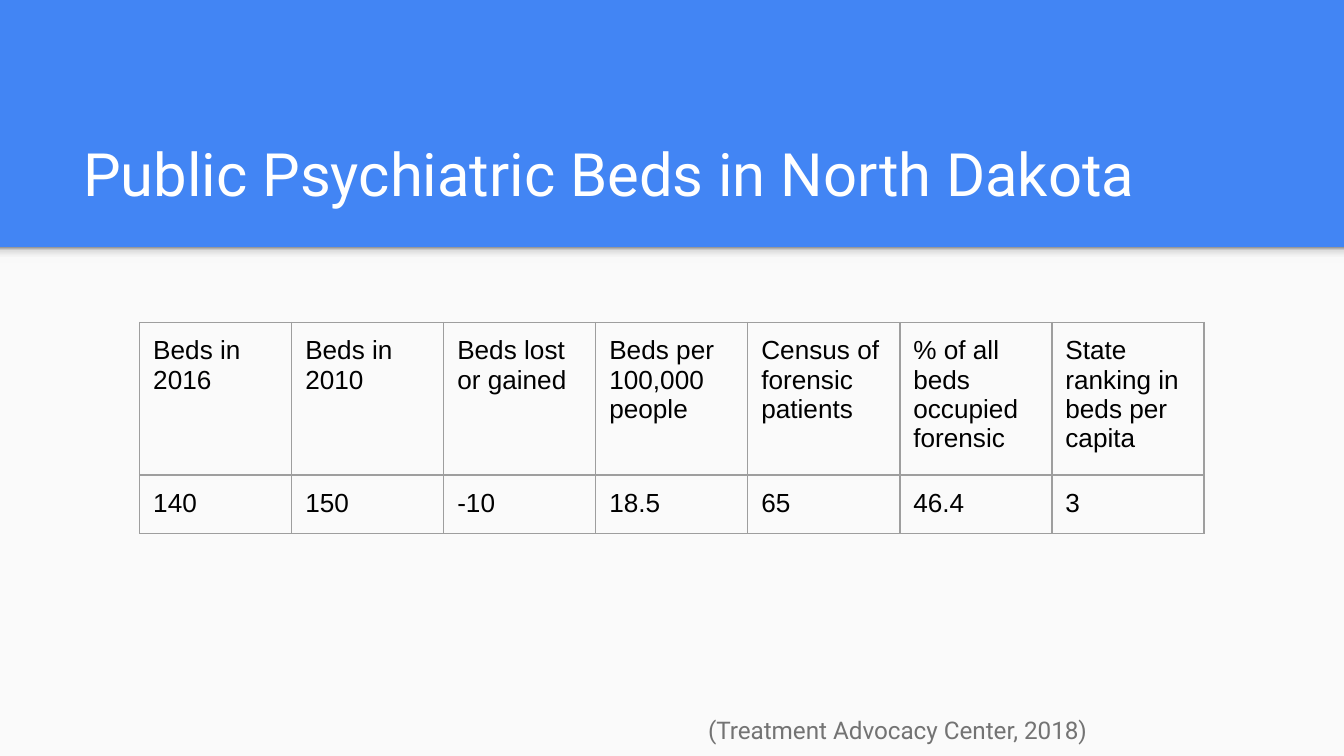
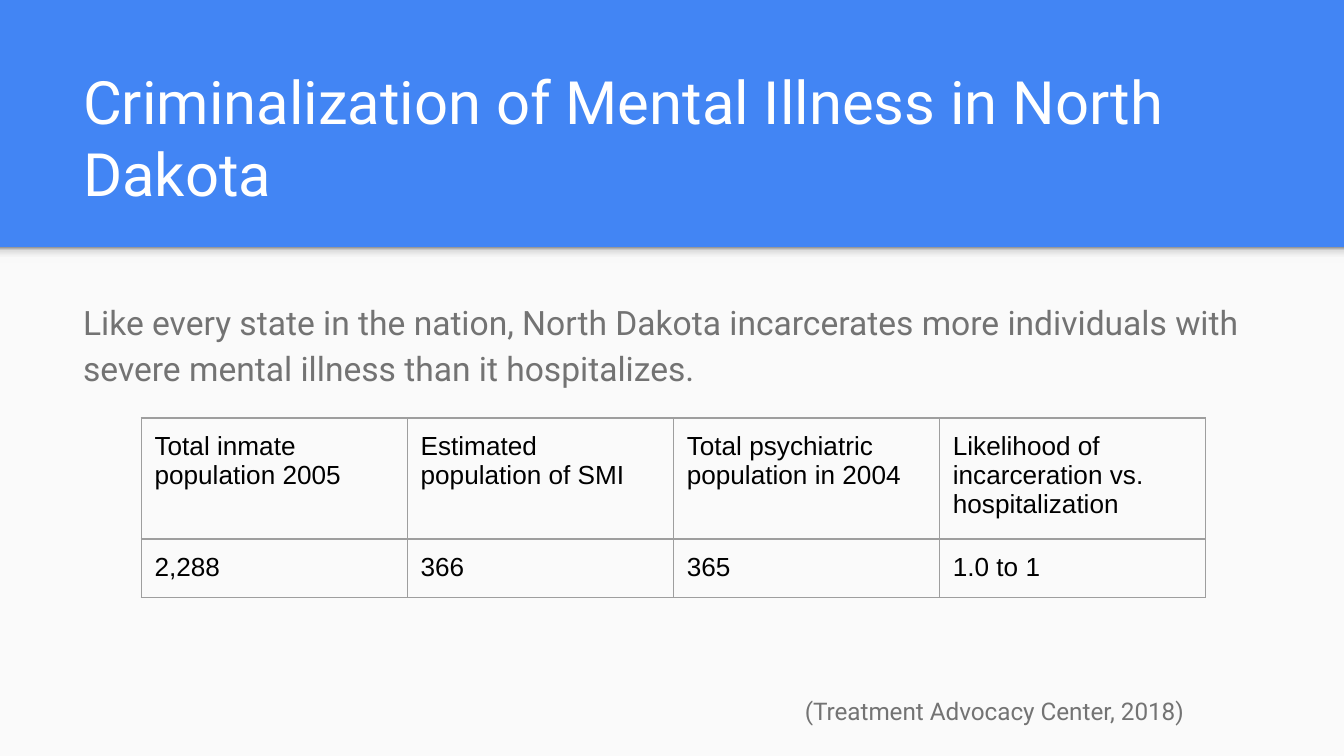
import dataclasses

import lxml.etree
import pptx
import pptx.dml.color
import pptx.enum.shapes
import pptx.enum.text
import pptx.oxml.ns
import pptx.util

Inches, Pt = pptx.util.Inches, pptx.util.Pt
RGB = pptx.dml.color.RGBColor.from_string
ANCHOR = pptx.enum.text.MSO_ANCHOR
RECT = pptx.enum.shapes.MSO_SHAPE.RECTANGLE
qn = pptx.oxml.ns.qn


@dataclasses.dataclass(frozen=True)
class Theme:
    band: str = "4285F4"
    panel: str = "FAFAFA"
    title: str = "FFFFFF"
    body: str = "737373"
    cell: str = "000000"
    border: str = "9E9E9E"
    shade: tuple = ((0, "F9F9F9"), (36, "F9F9F9"), (80, "DEDEDE"), (100, "999999"))
    font: str = "Roboto"
    table_font: str = "Arial"
    title_size: int = 32
    body_size: int = 18
    cell_size: int = 14
    source_size: int = 13


theme = Theme()
WIDTH = 10
HEIGHT = WIDTH * 9 / 16
BAND_BOTTOM = 1.84
TABLE_WIDTH, ROW_HEIGHT = 7.92, 0.42
SOURCE = "(Treatment Advocacy Center, 2018)"

SLIDES = [
    dict(
        title="Public Psychiatric Beds in North Dakota",
        body=None,
        table_at=(1.04, 2.4),
        rows=[
            ["Beds in 2016", "Beds in 2010", "Beds lost or gained",
             "Beds per 100,000 people", "Census of forensic patients",
             "% of all beds occupied forensic", "State ranking in beds per capita"],
            ["140", "150", "-10", "18.5", "65", "46.4", "3"],
        ],
        source_box=(5.17, 5.19, 4.66, 0.32),
    ),
    dict(
        title="Criminalization of Mental Illness in North Dakota",
        body="Like every state in the nation, North Dakota incarcerates more "
             "individuals with severe mental illness than it hospitalizes.",
        table_at=(1.05, 3.11),
        rows=[
            ["Total inmate population 2005", "Estimated population of SMI",
             "Total psychiatric population in 2004",
             "Likelihood of incarceration vs. hospitalization"],
            ["2,288", "366", "365", "1.0 to 1"],
        ],
        source_box=(5.89, 5.05, 3.94, 0.38),
    ),
]


def add_text(s, box, text, size, color, anchor=ANCHOR.TOP, spacing=1.0, after=0):
    tf = s.shapes.add_textbox(*map(Inches, box)).text_frame
    tf.word_wrap = True
    tf.vertical_anchor = anchor
    tf.margin_left = tf.margin_right = tf.margin_top = tf.margin_bottom = Inches(0.1)
    p = tf.paragraphs[0]
    p.text = text
    p.line_spacing = spacing
    p.space_after = Pt(after)
    p.font.name, p.font.size, p.font.color.rgb = theme.font, Pt(size), RGB(color)


def style_cell(cell, text):
    cell.text = text
    cell.margin_left = cell.margin_right = Inches(0.1)
    cell.margin_top = cell.margin_bottom = Inches(0.1)
    font = cell.text_frame.paragraphs[0].font
    font.name, font.size = theme.table_font, Pt(theme.cell_size)
    font.color.rgb = RGB(theme.cell)
    tcPr = cell._tc.get_or_add_tcPr()
    for side in ("lnL", "lnR", "lnT", "lnB"):
        ln = lxml.etree.SubElement(tcPr, qn("a:" + side), w=str(Pt(0.75)))
        fill = lxml.etree.SubElement(ln, qn("a:solidFill"))
        lxml.etree.SubElement(fill, qn("a:srgbClr"), val=theme.border)
    cell.fill.background()


prs = pptx.Presentation()
prs.slide_width, prs.slide_height = Inches(WIDTH), Inches(HEIGHT)

for content in SLIDES:
    s = prs.slides.add_slide(prs.slide_layouts[6])
    s.background.fill.solid()
    s.background.fill.fore_color.rgb = RGB(theme.band)

    # Light panel, then the soft shade under the title band
    panel, shade = [
        s.shapes.add_shape(RECT, 0, Inches(BAND_BOTTOM), Inches(WIDTH), Inches(height))
        for height in (HEIGHT - BAND_BOTTOM, 0.12)
    ]
    for sp in (panel, shade):
        sp.shadow.inherit = False
        sp.line.fill.background()
    panel.fill.solid()
    panel.fill.fore_color.rgb = RGB(theme.panel)
    shade.fill.gradient()
    shade.fill.gradient_angle = 90
    stops = shade._element.spPr.find(".//" + qn("a:gsLst"))
    for stop in list(stops):
        stops.remove(stop)
    for percent, color in theme.shade:
        stop = lxml.etree.SubElement(stops, qn("a:gs"), pos=str(percent * 1000))
        lxml.etree.SubElement(stop, qn("a:srgbClr"), val=color)

    add_text(s, (0.52, 0.81, 8.99, 0.84), content["title"],
             theme.title_size, theme.title, anchor=ANCHOR.BOTTOM)
    if content["body"]:
        add_text(s, (0.52, 2.1, 8.99, 2.96), content["body"],
                 theme.body_size, theme.body, spacing=1.15, after=16)

    rows = content["rows"]
    left, top = content["table_at"]
    table = s.shapes.add_table(len(rows), len(rows[0]), Inches(left), Inches(top),
                               Inches(TABLE_WIDTH), Inches(ROW_HEIGHT * len(rows))).table
    table.first_row = table.horz_banding = False
    for row, texts in zip(table.rows, rows):
        for cell, text in zip(row.cells, texts):
            style_cell(cell, text)

    add_text(s, content["source_box"], SOURCE,
             theme.source_size, theme.body, spacing=1.15, after=16)

prs.save("out.pptx")
